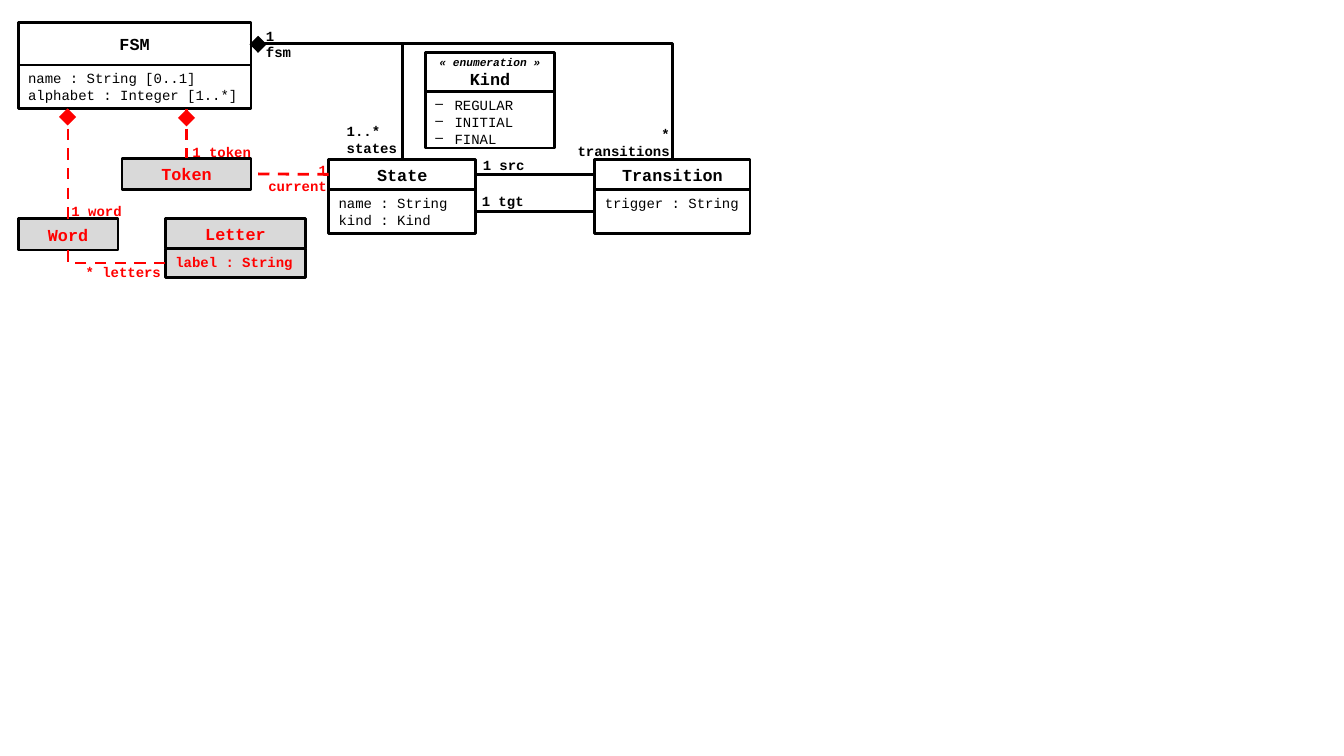
from dataclasses import dataclass

from lxml.etree import SubElement
from pptx import Presentation
from pptx.dml.color import RGBColor
from pptx.enum.dml import MSO_LINE_DASH_STYLE as Dash
from pptx.enum.shapes import MSO_CONNECTOR_TYPE as Connector, MSO_SHAPE as Preset
from pptx.enum.text import MSO_ANCHOR as Anchor, MSO_AUTO_SIZE as AutoSize, PP_ALIGN as Align
from pptx.oxml.ns import qn
from pptx.util import Inches, Pt

TOP, LEFT, BOTTOM, RIGHT = range(4)


@dataclass(frozen=True)
class Theme:
    font: str = "Courier New"
    black: RGBColor = RGBColor(0, 0, 0)
    red: RGBColor = RGBColor(0xFF, 0, 0)
    grey: RGBColor = RGBColor(0xD9, 0xD9, 0xD9)
    title: int = 12
    body: int = 10
    stereotype: int = 8
    line: int = 2


THEME = Theme()


@dataclass(frozen=True)
class Box:
    """Columns and rows of a grid with cells of a tenth of an inch."""
    column: float
    row: float
    columns: float
    rows: float

    def inner(self, column, row, columns, rows):
        return Box(self.column + column, self.row + row, columns, rows)

    def emu(self):
        return [Inches(cells / 10) for cells in (self.column, self.row, self.columns, self.rows)]


def add_run(paragraph, text, size, color, bold=False, italic=False):
    run = paragraph.add_run()
    run.text = text
    font = run.font
    font.name, font.size, font.bold, font.italic = THEME.font, Pt(size), bold, italic
    font.color.rgb = color


def next_paragraph(frame, index):
    return frame.add_paragraph() if index else frame.paragraphs[0]


def add_bullet(paragraph):
    properties = paragraph._p.get_or_add_pPr()
    properties.set("marL", str(Inches(0.19)))
    properties.set("indent", str(-Inches(0.19)))
    SubElement(properties, qn("a:buChar")).set("char", "–")


def add_compartment(shapes, box, fill):
    shape = shapes.add_shape(Preset.RECTANGLE, *box.emu())
    shape.shadow.inherit = False
    if fill is None:
        shape.fill.background()
    else:
        shape.fill.solid()
        shape.fill.fore_color.rgb = fill
    shape.line.color.rgb = THEME.black
    shape.line.width = Pt(THEME.line)
    shape.text_frame.word_wrap = True
    return shape


def add_title(shapes, box, name, color, fill, stereotype=None):
    shape = add_compartment(shapes, box, fill)
    frame = shape.text_frame
    frame.vertical_anchor = Anchor.MIDDLE
    rows = [(name, THEME.title, False)]
    if stereotype:
        rows.insert(0, (stereotype, THEME.stereotype, True))
    for index, (text, size, italic) in enumerate(rows):
        paragraph = next_paragraph(frame, index)
        paragraph.alignment = Align.CENTER
        add_run(paragraph, text, size, color, True, italic)
    return shape


def add_class(slide, box, title_rows, name, features, color=THEME.black, fill=None,
              stereotype=None, bullets=False):
    """Title compartment above a feature compartment, as one group."""
    shapes = slide.shapes.add_group_shape().shapes
    title = add_title(shapes, box.inner(0, 0, box.columns, title_rows), name, color, fill, stereotype)
    body = add_compartment(
        shapes, box.inner(0, title_rows, box.columns, box.rows - title_rows), fill)
    frame = body.text_frame
    frame.vertical_anchor = Anchor.TOP
    for index, feature in enumerate(features):
        paragraph = next_paragraph(frame, index)
        paragraph.alignment = Align.LEFT
        if bullets:
            add_bullet(paragraph)
        add_run(paragraph, feature, THEME.body, color, color != THEME.black)
    return title, body


def add_label(slide, box, text, color, align=Align.LEFT):
    frame = slide.shapes.add_textbox(*box.emu()).text_frame
    frame.word_wrap = True
    frame.auto_size = AutoSize.SHAPE_TO_FIT_TEXT
    frame.paragraphs[0].alignment = align
    add_run(frame.paragraphs[0], text, THEME.body, color, True)


def add_diamond(slide, box, color):
    shape = slide.shapes.add_shape(Preset.RECTANGLE, *box.emu())
    shape.rotation = 45
    shape.shadow.inherit = False
    shape.fill.solid()
    shape.fill.fore_color.rgb = color
    shape.line.fill.background()


def side(shape, site):
    """Middle of one side of a shape."""
    x = shape.left + {LEFT: 0, RIGHT: shape.width}.get(site, shape.width // 2)
    y = shape.top + {TOP: 0, BOTTOM: shape.height}.get(site, shape.height // 2)
    return x, y


def add_line(slide, kind, start, end, color):
    line = slide.shapes.add_connector(kind, *start, *end)
    line.line.color.rgb = color
    line.line.width = Pt(THEME.line)
    if color == THEME.red:
        line.line.dash_style = Dash.DASH
    SubElement(line._element.spPr, qn("a:effectLst"))
    return line


def add_elbow(slide, start, end, color):
    """One corner: across first, then up or down."""
    line = add_line(slide, Connector.ELBOW, start, end, color)
    line._element.spPr.find(qn("a:prstGeom")).set("prst", "bentConnector2")


def add_join(slide, start, start_site, end, end_site, color):
    line = add_line(slide, Connector.STRAIGHT, side(start, start_site), side(end, end_site), color)
    line.begin_connect(start, start_site)
    line.end_connect(end, end_site)


def draw_machine(slide, area):
    """Classes of the state machine, in black."""
    color = THEME.black
    fsm, fsm_body = add_class(slide, area.inner(0, 0, 23.1, 8.6), 4.25, "FSM",
                              ["name : String [0..1]", "alphabet : Integer [1..*]"])
    state, state_body = add_class(slide, area.inner(30.8, 13.6, 14.6, 7.4), 3, "State",
                                  ["name : String", "kind : Kind"])
    transition, transition_body = add_class(slide, area.inner(57.2, 13.6, 15.4, 7.4), 3,
                                            "Transition", ["trigger : String"])
    add_class(slide, area.inner(40.4, 3, 12.8, 9.5), 3.9, "Kind", ["REGULAR", "INITIAL", "FINAL"],
              stereotype="« enumeration »", bullets=True)

    # Compositions and associations
    for owned in (state, transition):
        add_elbow(slide, side(fsm, RIGHT), side(owned, TOP), color)
    add_diamond(slide, area.inner(23.2, 1.6, 1.2, 1.2), color)
    for start, end in ((transition, state), (transition_body, state_body)):
        add_join(slide, start, LEFT, end, RIGHT, color)

    # Roles
    add_label(slide, area.inner(23.6, 0, 4.6, 4.4), "1 fsm", color)
    add_label(slide, area.inner(31.6, 9.5, 7.9, 4.4), "1..* states", color)
    add_label(slide, area.inner(53.7, 9.8, 11.9, 4.4), "* transitions", color, Align.RIGHT)
    add_label(slide, area.inner(45.1, 12.8, 6.7, 2.7), "1 src", color)
    add_label(slide, area.inner(45, 16.4, 6.5, 2.7), "1 tgt", color)
    return fsm_body, state


def draw_runtime(slide, area, fsm_body, state):
    """Classes added for execution, in red on grey."""
    color, fill = THEME.red, THEME.grey
    token = add_title(slide.shapes, area.inner(10.3, 13.5, 12.8, 3.1), "Token", color, fill)
    word = add_title(slide.shapes, area.inner(0, 19.5, 9.9, 3.1), "Word", color, fill)
    letter_body = add_class(slide, area.inner(14.6, 19.5, 13.9, 5.8), 3, "Letter",
                            ["label : String"], color, fill)[1]

    # Compositions and associations
    for owned, column, row in ((token, 16.1, 8.9), (word, 4.3, 8.8)):
        x, y = side(owned, TOP)
        line = add_line(slide, Connector.STRAIGHT, (x, side(fsm_body, BOTTOM)[1]), (x, y), color)
        line.end_connect(owned, TOP)
        add_diamond(slide, area.inner(column, row, 1.2, 1.2), color)
    add_join(slide, state, LEFT, token, RIGHT, color)
    add_elbow(slide, side(letter_body, LEFT), side(word, BOTTOM), color)

    # Roles
    add_label(slide, area.inner(16.3, 11.5, 8.4, 2.7), "1 token", color)
    add_label(slide, area.inner(4.3, 17.4, 7.2, 2.7), "1 word", color)
    add_label(slide, area.inner(5.7, 23.5, 10.5, 2.7), "* letters", color)
    add_label(slide, area.inner(23.6, 13.3, 8, 4.4), "1 current", color, Align.RIGHT)


def main():
    presentation = Presentation()
    presentation.slide_width, presentation.slide_height = Inches(13.33), Inches(7.5)
    slide = presentation.slides.add_slide(presentation.slide_layouts[6])
    area = Box(1.8, 2.2, 72.6, 25.3)
    fsm_body, state = draw_machine(slide, area)
    draw_runtime(slide, area, fsm_body, state)
    presentation.save("out.pptx")


if __name__ == "__main__":
    main()
